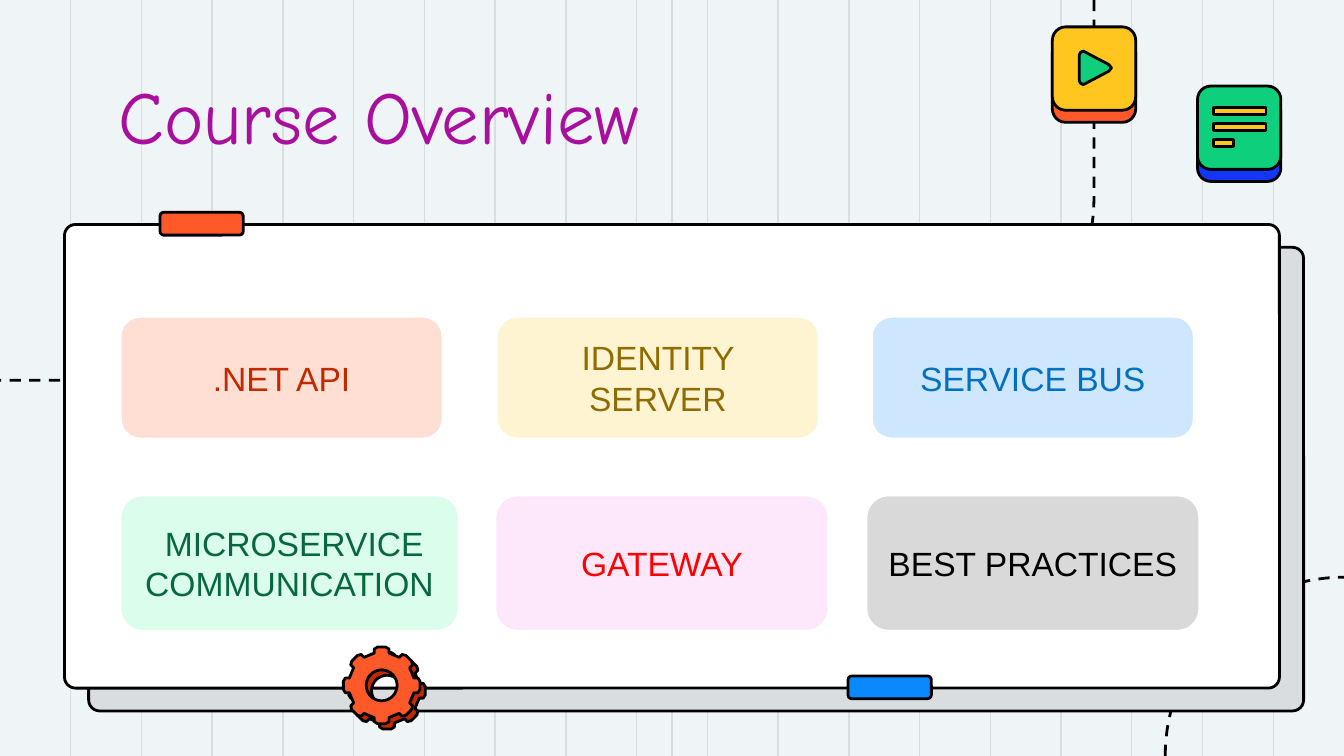
import math

import pptx
import pptx.dml.color
import pptx.enum.dml
import pptx.enum.shapes
import pptx.enum.text
import pptx.oxml
import pptx.oxml.ns
import pptx.util

Inches, Pt = pptx.util.Inches, pptx.util.Pt
SHAPE = pptx.enum.shapes.MSO_SHAPE
WIDTH = 10
HEIGHT = WIDTH * 9 / 16
BLACK, WHITE, GRAY = "000000", "FFFFFF", "D9DDDF"
ORANGE, RUST, YELLOW, GREEN, BLUE = "FF592A", "C12900", "FFC620", "0DCF7C", "1336F8"


def color(text):
    return pptx.dml.color.RGBColor.from_string(text)


def paint(shape, fill, line=BLACK, weight=1.5):
    shape.shadow.inherit = False
    if fill:
        shape.fill.solid()
        shape.fill.fore_color.rgb = color(fill)
    else:
        shape.fill.background()
    shape.line.color.rgb = color(line)
    shape.line.width = Pt(weight)
    return shape


def add_block(page, box, fill, corner=0.0, line=BLACK, weight=1.5):
    """Rectangle, rounded when a corner ratio is given."""
    kind = SHAPE.ROUNDED_RECTANGLE if corner else SHAPE.RECTANGLE
    shape = page.shapes.add_shape(kind, *map(Inches, box))
    if corner:
        shape.adjustments[0] = corner
    return paint(shape, fill, line, weight)


def add_outline(page, contours, fill=None, closed=True):
    contours = [[(Inches(x), Inches(y)) for x, y in points] for points in contours]
    builder = page.shapes.build_freeform(*contours[0][0], scale=1.0)
    builder.add_line_segments(contours[0][1:], close=closed)
    for points in contours[1:]:
        builder.move_to(*points[0])
        builder.add_line_segments(points[1:], close=closed)
    return paint(builder.convert_to_shape(), fill)


def arc(center_x, center_y, radius_x, radius_y, start, end, steps=32):
    angles = [math.radians(start + (end - start) * i / steps) for i in range(steps + 1)]
    return [(center_x + radius_x * math.cos(a), center_y + radius_y * math.sin(a))
            for a in angles]


def add_dashed_paths(page):
    corner_arc = arc(WIDTH, HEIGHT, 1.33, 1.33, 180, 270)
    bend = [(8.14, 0)] + arc(6.74, 1.48, 1.4, 1.35, 0, 90) + [(0, 2.83)]
    for points in (corner_arc, bend):
        route = add_outline(page, [points], closed=False)
        route.line.dash_style = pptx.enum.dml.MSO_LINE.DASH


def add_grid(page, columns=19):
    # Even columns, plus one line at the centre
    for x in [WIDTH * i / columns for i in range(1, columns)] + [WIDTH / 2]:
        rule = page.shapes.add_connector(
            pptx.enum.shapes.MSO_CONNECTOR.STRAIGHT,
            Inches(x), Inches(0), Inches(x), Inches(HEIGHT))
        rule.line.color.rgb = color(GRAY)
        rule.line.width = Pt(0.75)
        properties = rule._element.spPr
        properties.append(pptx.oxml.parse_xml(
            "<a:effectLst %s/>" % pptx.oxml.ns.nsdecls("a")))


def add_panel(page, left, top, width, height):
    add_block(page, (left + 0.18, top + 0.17, width, height), GRAY, 0.024)
    add_block(page, (left, top, width, height), WHITE, 0.024)
    # Tabs on the top and bottom edges
    add_block(page, (left + 0.71, top - 0.09, 0.62, 0.17), ORANGE, 0.167)
    add_block(page, (left + 5.83, top + height - 0.09, 0.62, 0.17), "0C88FF", 0.167)


def add_tile(page, left, top, face, base, size=0.62):
    add_block(page, (left, top + 0.09, size, size), base, 0.16)
    add_block(page, (left, top, size, size), face, 0.16)


def add_play_icon(page, left, top):
    add_tile(page, left, top, YELLOW, ORANGE)
    triangle = [(0.2, 0.21), (0.21, 0.19), (0.23, 0.18), (0.42, 0.28), (0.44, 0.305),
                (0.42, 0.33), (0.23, 0.43), (0.21, 0.42), (0.2, 0.4)]
    add_outline(page, [[(left + x, top + y) for x, y in triangle]], GREEN)


def add_text_icon(page, left, top):
    add_tile(page, left, top, GREEN, BLUE)
    for row, width in enumerate((0.39, 0.39, 0.15)):
        add_block(page, (left + 0.12, top + 0.16 + 0.12 * row, width, 0.05), YELLOW)


def add_gear(page, center_x, center_y, fill, teeth=8):
    tooth = [(-0.055, 0.24), (-0.055, 0.27), (-0.03, 0.285),
             (0.03, 0.285), (0.055, 0.27), (0.055, 0.24)]
    rim = []
    for i in range(teeth):
        turn = 2 * math.pi * i / teeth
        cosine, sine = math.cos(turn), math.sin(turn)
        rim += [(center_x + x * cosine + y * sine, center_y + x * sine - y * cosine)
                for x, y in tooth]
    hole = arc(center_x, center_y, 0.115, 0.115, 0, 360)
    add_outline(page, [rim, hole], fill)


def add_title(page, box, text):
    title = page.shapes.title
    title.left, title.top, title.width, title.height = map(Inches, box)
    # Bring the title in front of the backdrop
    title._element.getparent().append(title._element)
    frame = title.text_frame
    frame.margin_left = frame.margin_right = Inches(0.1)
    frame.margin_top = frame.margin_bottom = Inches(0.1)
    frame.vertical_anchor = pptx.enum.text.MSO_ANCHOR.TOP
    frame.text = text
    para = frame.paragraphs[0]
    para.alignment = pptx.enum.text.PP_ALIGN.LEFT
    para.font.size = Pt(40)
    para.font.name = "Comic Neue"
    para.font.color.rgb = color("A90F9E")


def add_topic(page, box, text, fill, ink):
    card = add_block(page, box, fill, 0.167, WHITE, 2)
    frame = card.text_frame
    frame.word_wrap = True
    frame.vertical_anchor = pptx.enum.text.MSO_ANCHOR.MIDDLE
    frame.text = text
    para = frame.paragraphs[0]
    para.alignment = pptx.enum.text.PP_ALIGN.CENTER
    para.font.size = Pt(18)
    para.font.name = "Arial"
    para.font.color.rgb = color(ink)


def main():
    deck = pptx.Presentation()
    deck.slide_width, deck.slide_height = Inches(WIDTH), Inches(HEIGHT)
    page = deck.slides.add_slide(deck.slide_layouts[5])
    page.background.fill.solid()
    page.background.fill.fore_color.rgb = color("EFF4F6")

    # Backdrop
    add_dashed_paths(page)
    add_grid(page)
    add_panel(page, 0.48, 1.67, 9.04, 3.45)

    # Icons
    add_play_icon(page, 7.83, 0.2)
    add_text_icon(page, 8.91, 0.64)
    add_gear(page, 2.88, 5.14, RUST)
    add_gear(page, 2.84, 5.1, ORANGE)

    # Title and topics
    add_title(page, (0.78, 0.42, 5.39, 1.02), "Course Overview")
    topics = [
        ((0.89, 2.35, 2.41, 0.92), ".NET API", "FFDED4", RUST),
        ((3.69, 2.35, 2.41, 0.92), "IDENTITY SERVER", "FFF4D2", "906B00"),
        ((6.48, 2.35, 2.41, 0.92), "SERVICE BUS", "CEE7FF", "0070C0"),
        ((0.89, 3.68, 2.53, 1.02), " MICROSERVICE COMMUNICATION", "DBFDEB", "07683E"),
        ((6.44, 3.68, 2.49, 1.02), "BEST PRACTICES", "D9D9D9", BLACK),
        ((3.68, 3.68, 2.49, 1.02), "GATEWAY", "FDE7FB", "FF0000"),
    ]
    for topic in topics:
        add_topic(page, *topic)
    deck.save("out.pptx")


if __name__ == "__main__":
    main()
